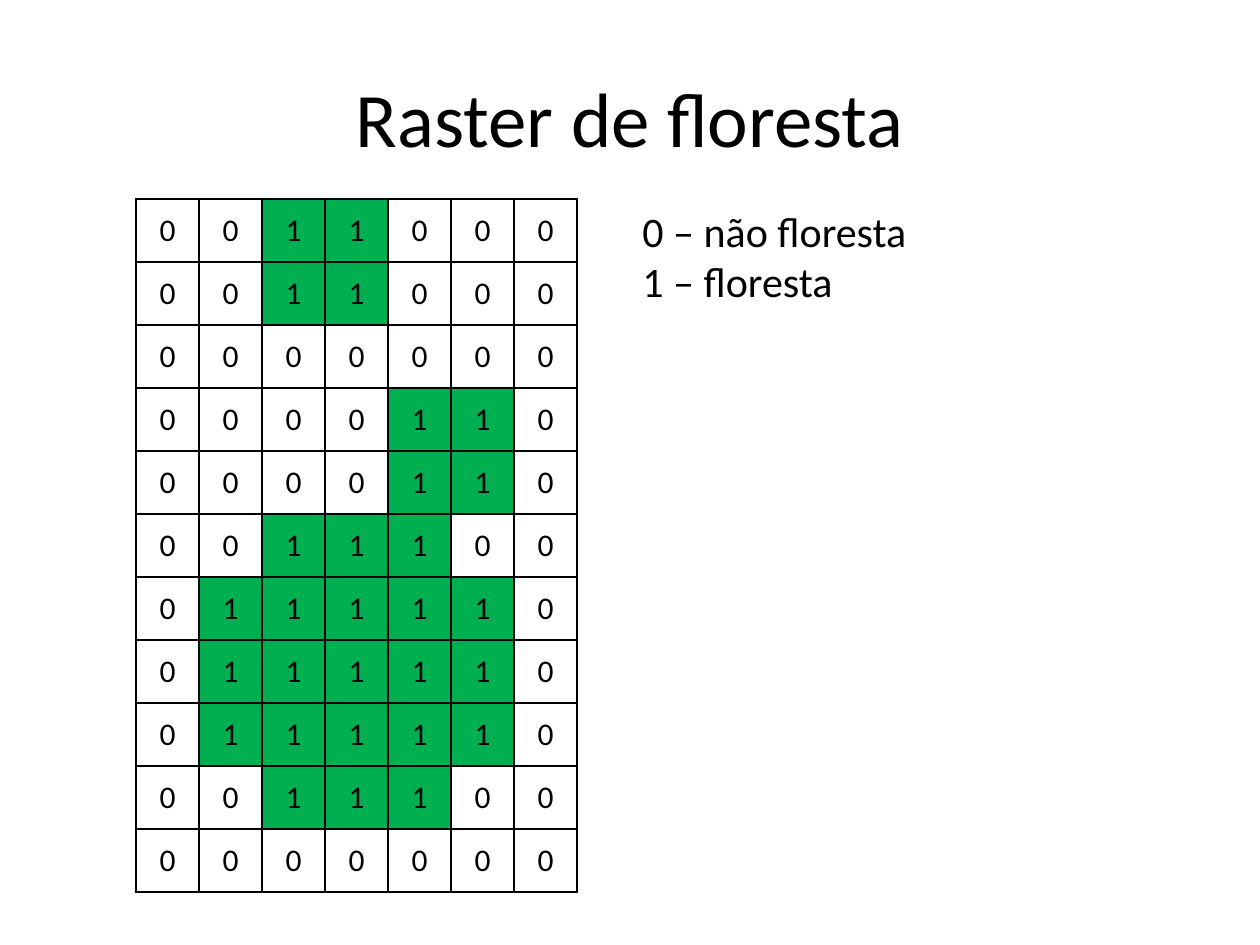
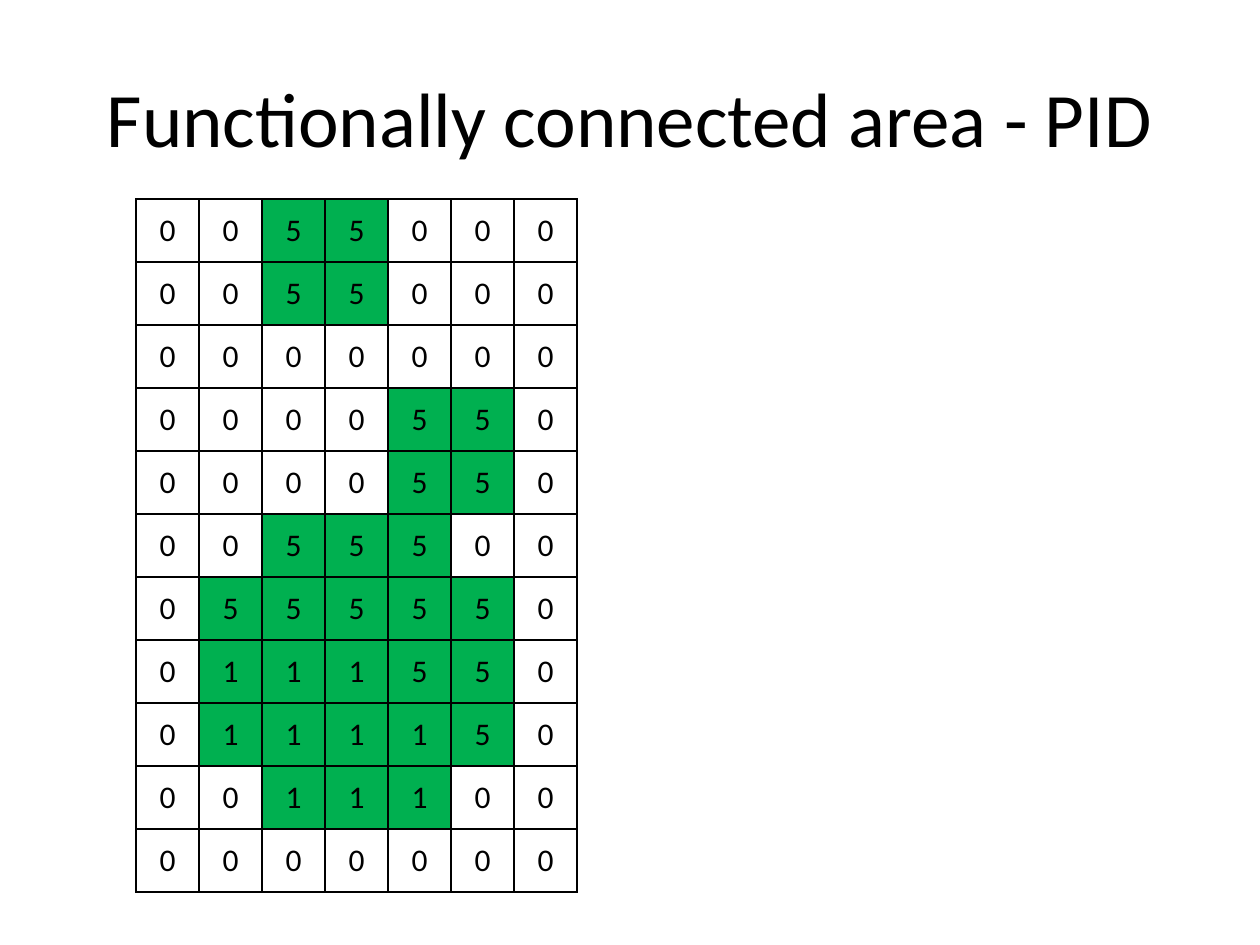
from pptx import Presentation
from pptx.dml.color import RGBColor
from pptx.enum.text import MSO_ANCHOR, MSO_AUTO_SIZE, PP_ALIGN
from pptx.oxml import parse_xml
from pptx.oxml.ns import nsdecls
from pptx.util import Inches, Pt

BLACK = RGBColor(0x00, 0x00, 0x00)
FOREST_GREEN = RGBColor(0x00, 0xB0, 0x50)
FONT = "Calibri"
CELL = 0.5

FOREST = [
    "0011000",
    "0011000",
    "0000000",
    "0000110",
    "0000110",
    "0011100",
    "0111110",
    "0111110",
    "0111110",
    "0011100",
    "0000000",
]

CONNECTED_AREA = [
    "0055000",
    "0055000",
    "0000000",
    "0000550",
    "0000550",
    "0055500",
    "0555550",
    "0111550",
    "0111150",
    "0011100",
    "0000000",
]


def write(p, text, size=18, color=BLACK, align=None):
    p.alignment = align
    r = p.add_run()
    r.text = text
    r.font.name = FONT
    r.font.size = Pt(size)
    r.font.color.rgb = color


def add_borders(cell, color=BLACK, width=1):
    tc_pr = cell._tc.get_or_add_tcPr()
    for i, side in enumerate("LRTB"):
        tc_pr.insert(i, parse_xml(
            f'<a:ln{side} {nsdecls("a")} w="{Pt(width)}">'
            f'<a:solidFill><a:srgbClr val="{color}"/></a:solidFill></a:ln{side}>'))


class Deck:
    def __init__(self):
        self.prs = Presentation()
        self.prs.slide_width = Inches(10)
        self.prs.slide_height = Inches(7.5)
        self.s = None

    def slide(self, title):
        self.s = self.prs.slides.add_slide(self.prs.slide_layouts[5])
        sp = self.s.shapes.title
        sp.left, sp.top = Inches(0.5), Inches(0.3)
        sp.width, sp.height = Inches(9), Inches(1.25)
        tf = sp.text_frame
        tf.vertical_anchor = MSO_ANCHOR.MIDDLE
        write(tf.paragraphs[0], title, size=44, align=PP_ALIGN.CENTER)

    def raster(self, rows, left=1.08, top=1.58):
        """Draw a grid of square cells, filling those whose value is not 0."""
        n_rows, n_cols = len(rows), len(rows[0])
        table = self.s.shapes.add_table(
            n_rows, n_cols, Inches(left), Inches(top),
            Inches(n_cols * CELL), Inches(n_rows * CELL)).table
        table.first_row = table.horz_banding = False
        for i, row in enumerate(rows):
            for j, value in enumerate(row):
                cell = table.cell(i, j)
                cell.vertical_anchor = MSO_ANCHOR.MIDDLE
                if value == "0":
                    cell.fill.background()
                else:
                    cell.fill.solid()
                    cell.fill.fore_color.rgb = FOREST_GREEN
                add_borders(cell)
                write(cell.text_frame.paragraphs[0], value, align=PP_ALIGN.CENTER)

    def text(self, lines, left, top, width, height, size=24):
        sp = self.s.shapes.add_textbox(
            Inches(left), Inches(top), Inches(width), Inches(height))
        tf = sp.text_frame
        tf.word_wrap = False
        tf.auto_size = MSO_AUTO_SIZE.SHAPE_TO_FIT_TEXT
        for i, line in enumerate(lines):
            p = tf.add_paragraph() if i else tf.paragraphs[0]
            write(p, line, size=size)


def main():
    deck = Deck()

    deck.slide("Raster de floresta")
    deck.raster(FOREST)
    deck.text(["0 – não floresta", "1 – floresta"], 5, 1.58, 2.32, 0.91)

    deck.slide("Functionally connected area - PID")
    deck.raster(CONNECTED_AREA)

    deck.prs.save("out.pptx")


if __name__ == "__main__":
    main()
